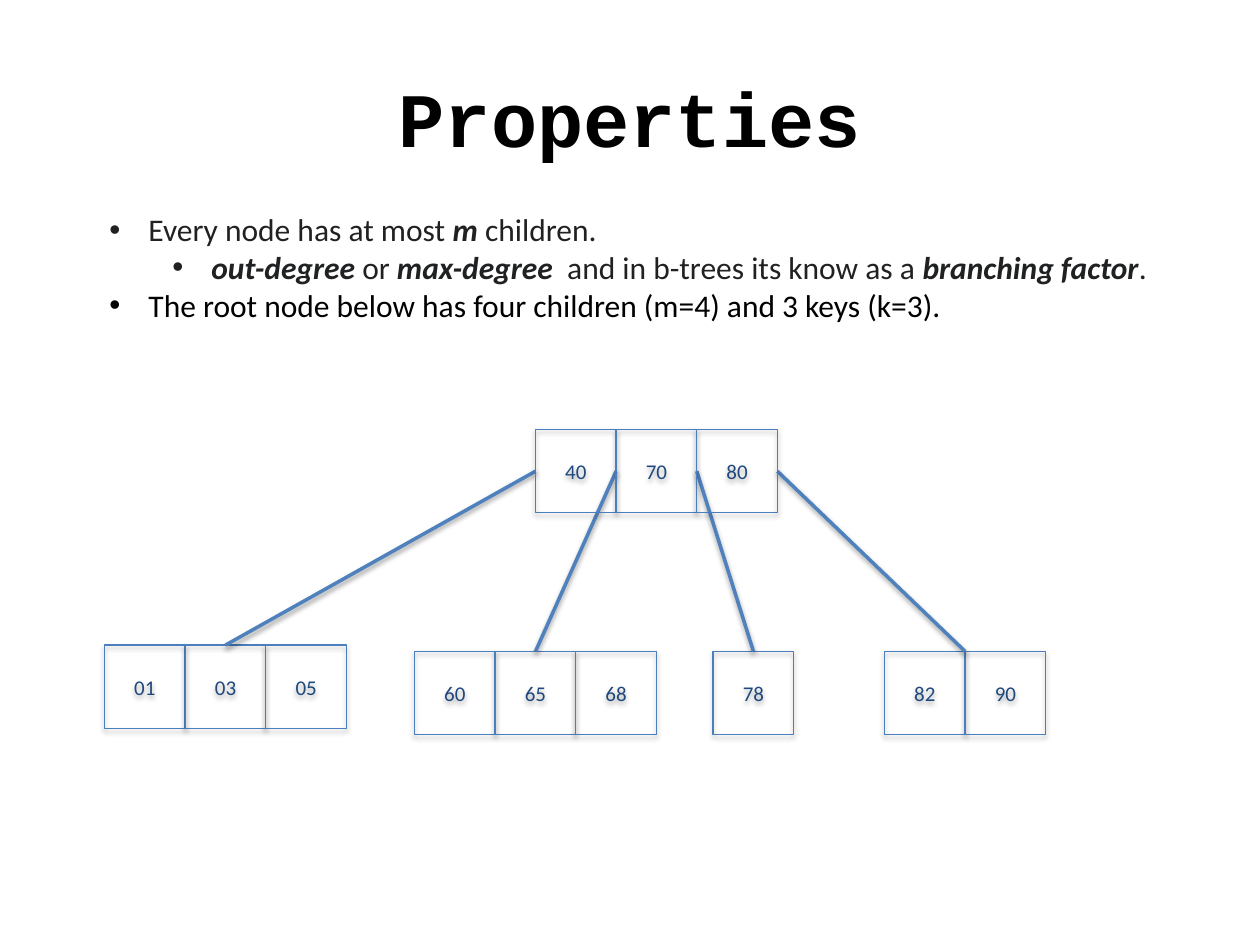
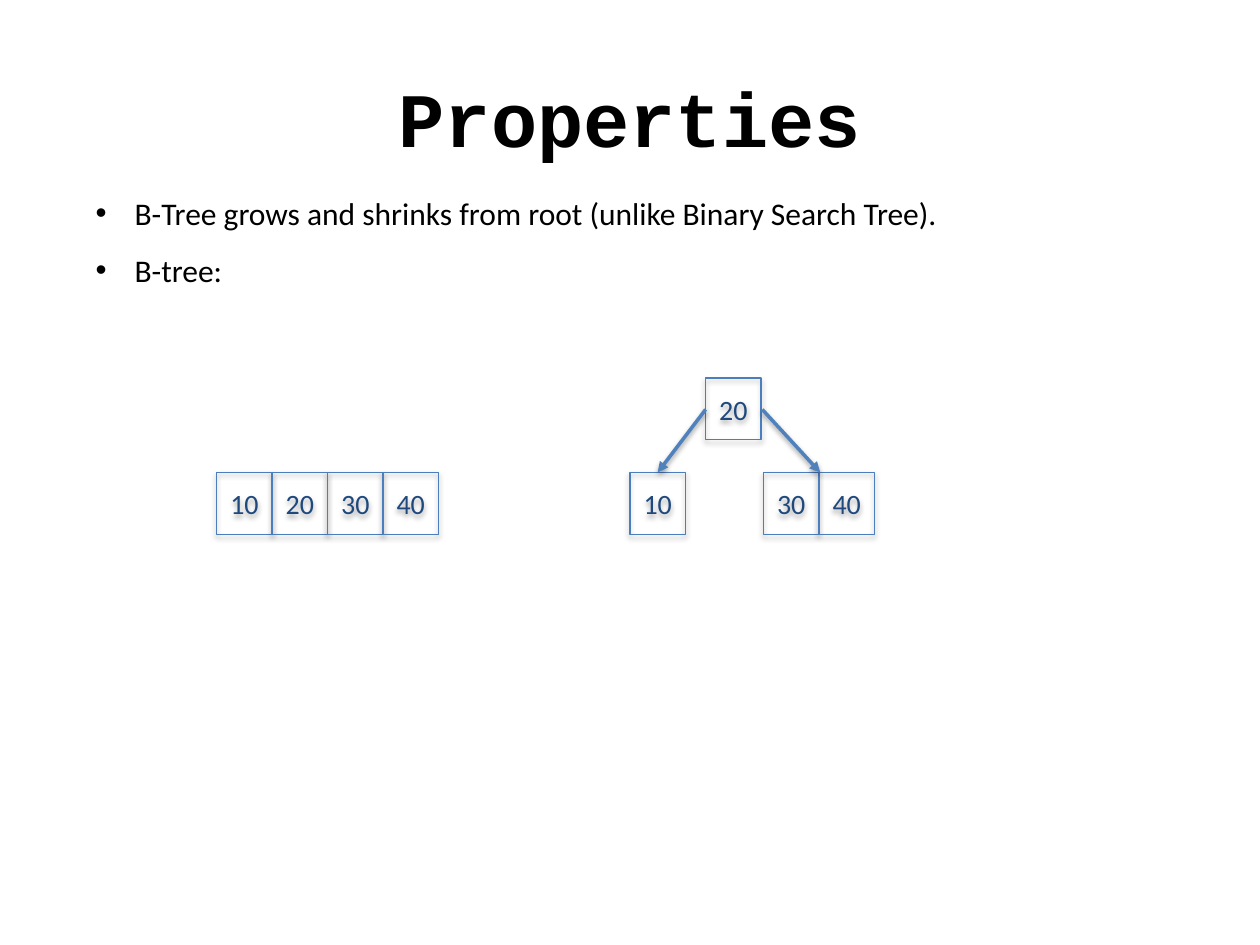
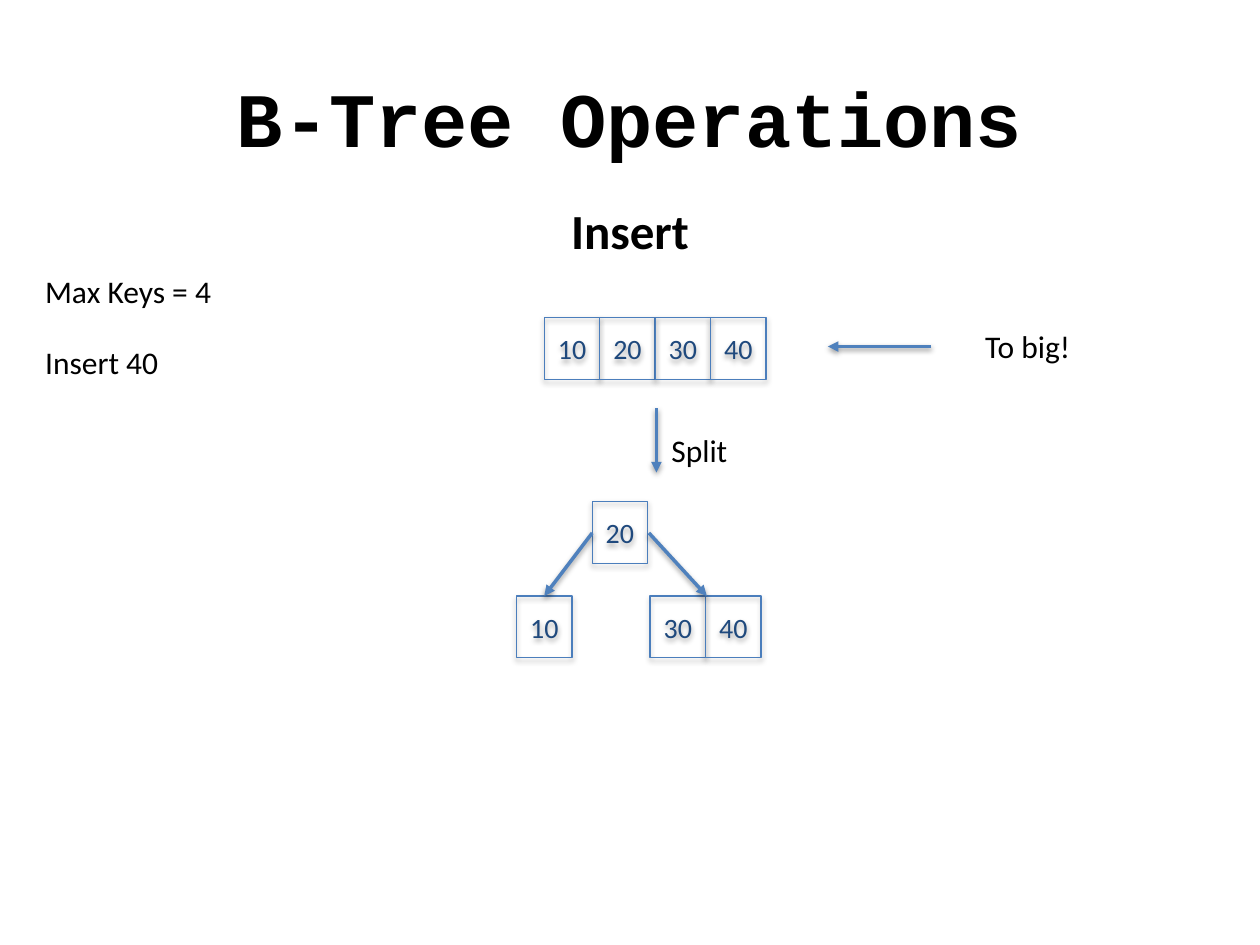
from lxml import etree
from pptx import Presentation
from pptx import util as u
from pptx.dml.color import RGBColor
from pptx.enum import shapes, text
from pptx.oxml import ns

BLACK, INK, KEY = "000000", "202122", "1F497D"
EDGE, LINK = "4B7EBC", "4F81BD"


def rgb(value):
    """Turn a hex string into a colour."""
    return RGBColor.from_string(value)


def add_xml(parent, tag, **attrs):
    """Append a drawing element with attributes."""
    return etree.SubElement(parent, ns.qn(tag), attrs)


def add_shadow(sp, alpha, dist):
    """Give a shape or connector a soft shadow below it."""
    effects = add_xml(sp._element.spPr, "a:effectLst")
    outer = add_xml(effects, "a:outerShdw", blurRad=str(u.Pt(3.1)), dist=str(u.Pt(dist)),
                    dir="5400000", rotWithShape="0")
    color = add_xml(outer, "a:srgbClr", val=BLACK)
    add_xml(color, "a:alpha", val=str(alpha * 1000))


class Deck:
    """Hold the shared style and the current slide."""

    def __init__(self):
        """Start an empty 10 by 7.5 inch presentation."""
        self.prs = Presentation()
        self.prs.slide_width, self.prs.slide_height = u.Inches(10), u.Inches(7.5)

    def run(self, p, words, size, color=BLACK, bold=False, italic=False, font="Calibri"):
        """Add one formatted run to a paragraph."""
        r = p.add_run()
        r.text = words
        r.font.name, r.font.size = font, u.Pt(size)
        r.font.bold, r.font.italic = bold, italic
        r.font.color.rgb = rgb(color)

    def slide(self, title):
        """Start a slide and set its title."""
        self.s = self.prs.slides.add_slide(self.prs.slide_layouts[5])
        sp = self.s.shapes.title
        sp.left, sp.top, sp.width, sp.height = map(u.Inches, (0.5, 0.3, 9, 1.25))
        tf = sp.text_frame
        tf.vertical_anchor = text.MSO_ANCHOR.MIDDLE
        p = tf.paragraphs[0]
        p.alignment = text.PP_ALIGN.CENTER
        self.run(p, title, 44, bold=True, font="Courier New")

    def frame(self, x, y, w, h, wrap=True):
        """Add a text box and return its text frame."""
        tf = self.s.shapes.add_textbox(*map(u.Inches, (x, y, w, h))).text_frame
        tf.word_wrap = wrap
        return tf

    def label(self, x, y, w, words):
        """Add a one-line label."""
        self.run(self.frame(x, y, w, 0.4, False).paragraphs[0], words, 18)

    def heading(self, x, y, w, words):
        """Add a centred bold heading."""
        p = self.frame(x, y, w, 0.57).paragraphs[0]
        p.alignment = text.PP_ALIGN.CENTER
        self.run(p, words, 28, bold=True)

    def bullets(self, x, y, w, h, items, spacing=1.0):
        """Add bullets, each a level, a colour and runs whose odd ones are plain."""
        tf = self.frame(x, y, w, h)
        for i, (level, color, runs) in enumerate(items):
            p = tf.add_paragraph() if i else tf.paragraphs[0]
            p.level, p.line_spacing = level, spacing
            pPr = p._p.get_or_add_pPr()
            pPr.set("marL", str(u.Inches(0.31 + level * 0.5)))
            pPr.set("indent", str(u.Inches(-0.31)))
            add_xml(pPr, "a:buFont", typeface="Arial")
            add_xml(pPr, "a:buChar", char="•")
            for words, strong in runs:
                self.run(p, words, 18, color, strong, strong)

    def node(self, x, y, keys, w=0.44, h=0.49, size=16):
        """Add a tree node as a row of key cells."""
        for i, key in enumerate(keys):
            sp = self.s.shapes.add_shape(shapes.MSO_SHAPE.RECTANGLE,
                                         *map(u.Inches, (x + i * w, y, w, h)))
            sp.fill.background()
            sp.line.color.rgb, sp.line.width = rgb(EDGE), u.Pt(0.75)
            add_shadow(sp, 35, 1.8)
            tf = sp.text_frame
            tf.vertical_anchor = text.MSO_ANCHOR.MIDDLE
            p = tf.paragraphs[0]
            p.alignment = text.PP_ALIGN.CENTER
            self.run(p, key, size, KEY)

    def link(self, x1, y1, x2, y2, arrow=True):
        """Join two points with a line or an arrow."""
        cn = self.s.shapes.add_connector(shapes.MSO_CONNECTOR.STRAIGHT,
                                         *map(u.Inches, (x1, y1, x2, y2)))
        cn.line.color.rgb, cn.line.width = rgb(LINK), u.Pt(2)
        if arrow:
            add_xml(cn.line._get_or_add_ln(), "a:tailEnd", type="triangle")
        add_shadow(cn, 38, 1.6)

    def split_tree(self, x, y):
        """Draw the tree left by a split, with its root at x, y."""
        leaf_y, mid_y = y + 0.75, y + 0.25
        self.node(x, y, ["20"])
        self.node(x - 0.6, leaf_y, ["10"])
        self.node(x + 0.46, leaf_y, ["30", "40"])
        self.link(x, mid_y, x - 0.38, leaf_y)
        self.link(x + 0.45, mid_y, x + 0.91, leaf_y)


def main():
    """Build the three slides."""
    d = Deck()
    full_node = ["10", "20", "30", "40"]

    d.slide("Properties")
    d.bullets(0.77, 1.62, 8.46, 1.31, [
        (0, INK, [("Every node has at most ", False), ("m", True), (" children.", False)]),
        (1, INK, [("out-degree", True), (" or ", False), ("max-degree", True),
                  ("  and in b-trees its know as a ", False),
                  ("branching factor", True), (".", False)]),
        (0, BLACK, [("The root node below has four children (m=4) and 3 keys (k=3).", False)]),
    ])
    cell, root_x, root_y = 0.64, 4.25, 3.41
    children = [(0.83, 5.12, ["01", "03", "05"]), (3.29, 5.17, ["60", "65", "68"]),
                (5.66, 5.17, ["78"]), (7.02, 5.17, ["82", "90"])]
    for i, (x, y, keys) in enumerate(children):
        d.node(x, y, keys, cell, 0.66, 12)
        d.link(root_x + i * cell, root_y + 0.33, x + len(keys) * cell / 2, y, arrow=False)
    d.node(root_x, root_y, ["40", "70", "80"], cell, 0.66, 12)

    d.slide("Properties")
    d.bullets(0.66, 1.34, 8.69, 1.77, [
        (0, BLACK, [("B-Tree grows and shrinks from root (unlike Binary Search Tree).", False)]),
        (0, BLACK, [("B-tree:", False)]),
    ], spacing=1.5)
    d.node(1.72, 3.75, full_node)
    d.split_tree(5.6, 3)

    d.slide("B-Tree Operations")
    d.heading(4.02, 1.54, 1.96, "Insert")
    for x, y, w, words in [(0.26, 2.11, 1.53, "Max Keys = 4"), (0.26, 2.67, 1.11, "Insert 40"),
                           (7.72, 2.55, 0.89, "To big!"), (5.23, 3.37, 0.65, "Split")]:
        d.label(x, y, w, words)
    d.node(4.32, 2.52, full_node)
    d.link(7.39, 2.75, 6.57, 2.75)
    d.link(5.21, 3.24, 5.21, 3.75)
    d.split_tree(4.7, 3.98)

    d.prs.save("out.pptx")


if __name__ == "__main__":
    main()
